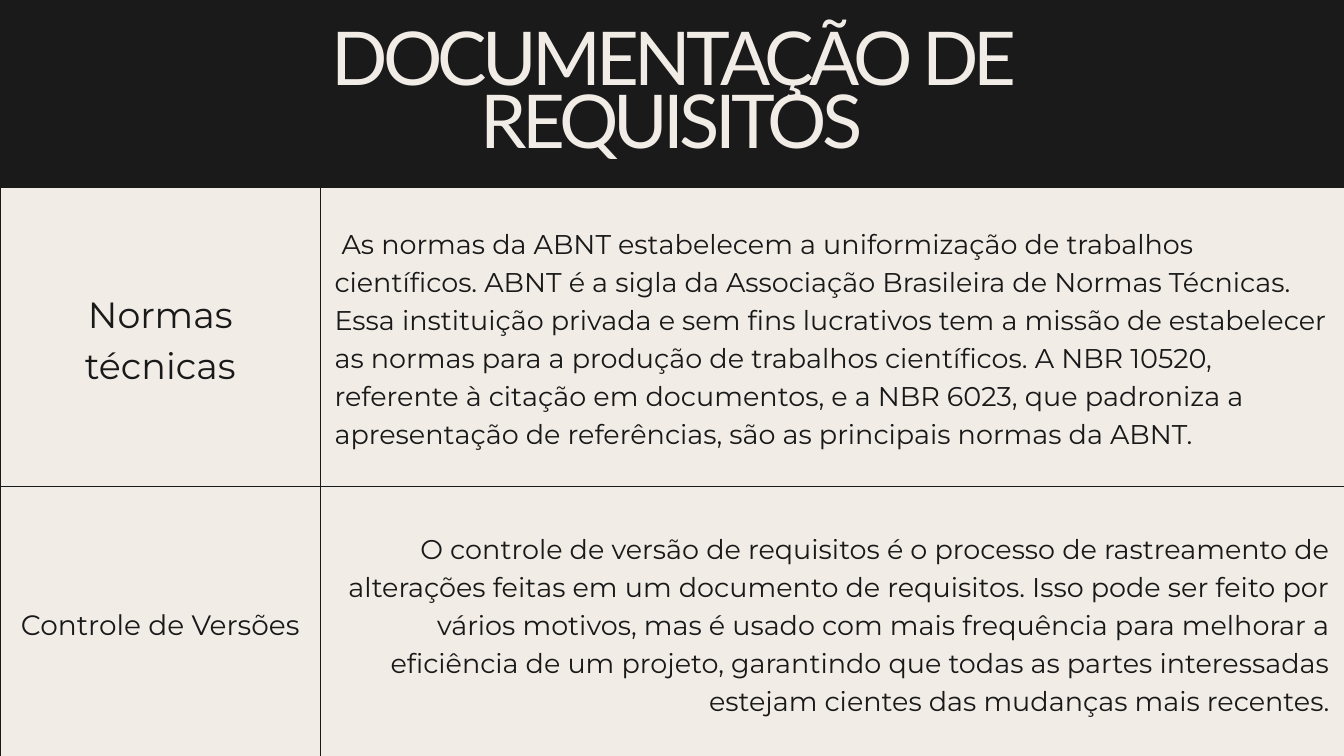
import pptx
import pptx.util
import pptx.dml.color
import pptx.enum.shapes
import pptx.enum.text
import pptx.oxml
import pptx.oxml.ns

COLOURS = {"ink": "1A1A1A", "rule": "191919", "paper": "F1ECE6"}
ALIGN = pptx.enum.text.PP_ALIGN
ANCHOR = pptx.enum.text.MSO_ANCHOR

STANDARDS = (
    " As normas da ABNT estabelecem a uniformização de trabalhos científicos. "
    "ABNT é a sigla da Associação Brasileira de Normas Técnicas. Essa instituição "
    "privada e sem fins lucrativos tem a missão de estabelecer as normas para a "
    "produção de trabalhos científicos. A NBR 10520, referente à citação em "
    "documentos, e a NBR 6023, que padroniza a apresentação de referências, são as "
    "principais normas da ABNT."
)
VERSIONING = (
    "O controle de versão de requisitos é o processo de rastreamento de alterações "
    "feitas em um documento de requisitos. Isso pode ser feito por vários motivos, "
    "mas é usado com mais frequência para melhorar a eficiência de um projeto, "
    "garantindo que todas as partes interessadas estejam cientes das mudanças mais "
    "recentes."
)


def px(length):
    return pptx.util.Emu(length * 9525)


def colour(name):
    return pptx.dml.color.RGBColor.from_string(COLOURS[name])


class SlideBuilder:
    heading_font = "Lato"
    body_font = "Montserrat"
    cell_inset = 20

    def __init__(self, slide):
        self.slide = slide
        slide.background.fill.solid()
        slide.background.fill.fore_color.rgb = colour("paper")

    def set_text(self, frame, text, font, size, leading, ink, align):
        frame.text = text
        frame.word_wrap = True
        paragraph = frame.paragraphs[0]
        paragraph.alignment = align
        paragraph.line_spacing = pptx.util.Pt(leading)
        run = paragraph.runs[0]
        run.font.name = font
        run.font.size = pptx.util.Pt(size)
        run.font.color.rgb = colour(ink)
        return run

    def band(self, left, top, width, height):
        band = self.slide.shapes.add_shape(
            pptx.enum.shapes.MSO_SHAPE.RECTANGLE,
            px(left), px(top), px(width), px(height))
        band.shadow.inherit = False
        band.fill.solid()
        band.fill.fore_color.rgb = colour("ink")
        band.line.fill.background()
        self.slide.shapes.title.element.addprevious(band.element)

    def title(self, text, left, top, width, height):
        heading = self.slide.shapes.title
        heading.left, heading.top = px(left), px(top)
        heading.width, heading.height = px(width), px(height)
        frame = heading.text_frame
        run = self.set_text(frame, text, self.heading_font, 79.5, 67.6, "paper", ALIGN.CENTER)
        run._r.get_or_add_rPr().set("spc", "-520")
        frame.margin_left = frame.margin_right = 0
        frame.margin_top = frame.margin_bottom = 0
        frame.vertical_anchor = ANCHOR.TOP
        frame.auto_size = pptx.enum.text.MSO_AUTO_SIZE.SHAPE_TO_FIT_TEXT

    def borders(self, cell, right, top):
        properties = cell._tc.get_or_add_tcPr()
        sides = {"lnL": "rule", "lnR": right, "lnT": top, "lnB": "rule"}
        for position, (side, name) in enumerate(sides.items()):
            properties.insert(position, pptx.oxml.parse_xml(
                f'<a:{side} {pptx.oxml.ns.nsdecls("a")} w="9525"><a:solidFill>'
                f'<a:srgbClr val="{COLOURS[name]}"/></a:solidFill></a:{side}>'))

    def table(self, topics, left, top, widths, heights):
        table = self.slide.shapes.add_table(
            len(heights), len(widths), px(left), px(top),
            px(sum(widths)), px(sum(heights))).table
        table.first_row = table.horz_banding = False
        for column, width in zip(table.columns, widths):
            column.width = px(width)
        for row, height in zip(table.rows, heights):
            row.height = px(height)
        for row, topic in enumerate(topics):
            for column, (text, size, leading, align) in enumerate(topic):
                cell = table.cell(row, column)
                self.set_text(cell.text_frame, text, self.body_font, size, leading, "rule", align)
                cell.margin_left = cell.margin_right = px(self.cell_inset)
                cell.margin_top = cell.margin_bottom = px(self.cell_inset)
                cell.vertical_anchor = ANCHOR.MIDDLE
                cell.fill.background()
                self.borders(cell, "paper" if column else "rule", "rule" if row else "paper")


def main():
    deck = pptx.Presentation()
    deck.slide_width, deck.slide_height = px(1920), px(1080)
    builder = SlideBuilder(deck.slides.add_slide(deck.slide_layouts.get_by_name("Title Only")))
    builder.band(0, 0, 1920, 269)
    builder.title("DOCUMENTAÇÃO DE REQUISITOS", 458, 53, 1003, 280)
    topics = [
        [("Normas técnicas", 39, 54.6, ALIGN.CENTER), (STANDARDS, 29, 40.6, ALIGN.LEFT)],
        [("Controle de Versões", 30, 42, ALIGN.CENTER), (VERSIONING, 29, 40.6, ALIGN.RIGHT)],
    ]
    builder.table(topics, 0, 269, [458, 1462], [426, 391])
    deck.save("out.pptx")


if __name__ == "__main__":
    main()
